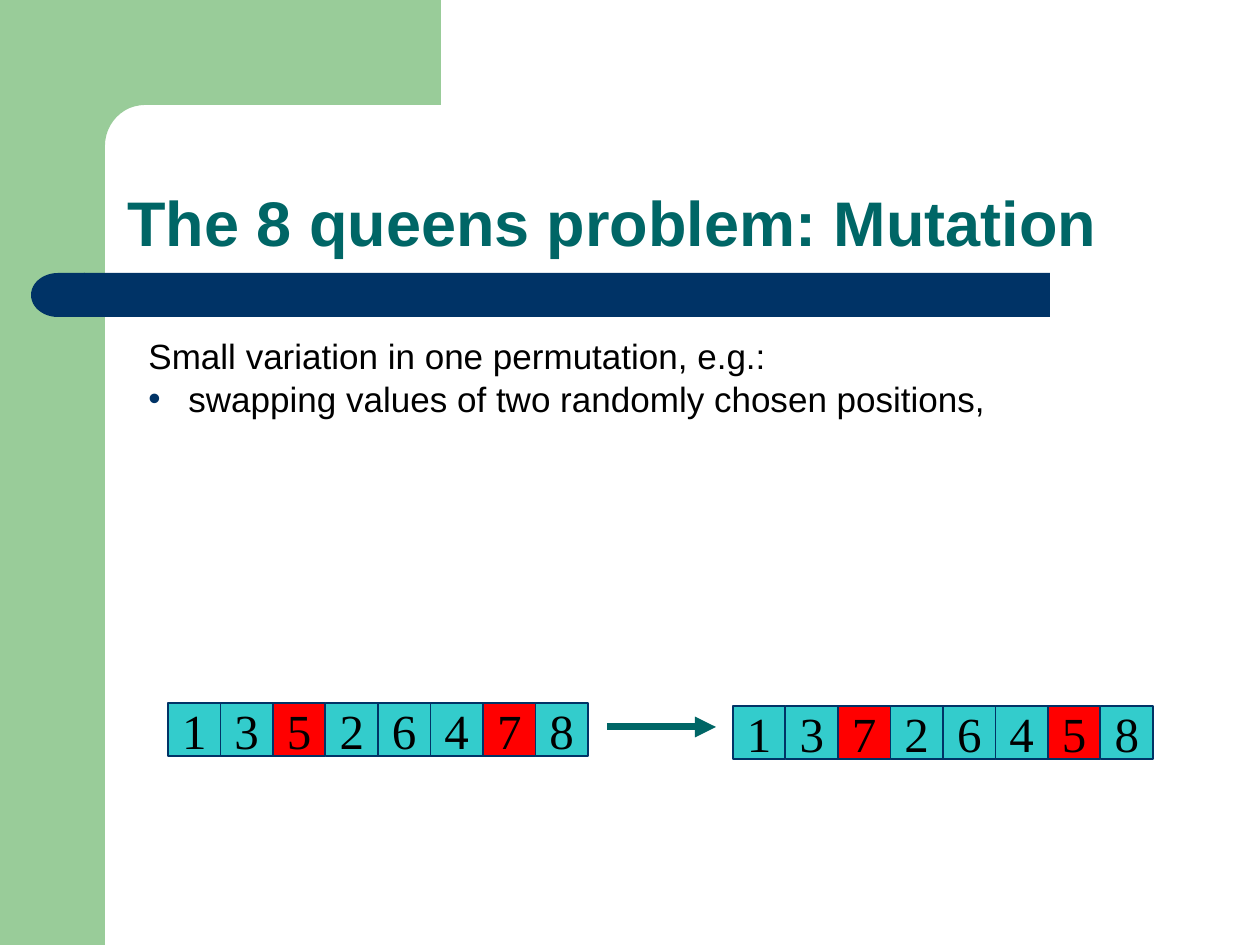
import math
from dataclasses import dataclass

from pptx import Presentation
from pptx import util as u
from pptx.dml.color import RGBColor
from pptx.enum import shapes, text
from pptx.oxml.ns import qn
from lxml import etree

EMU_PER_PX = u.Inches(1) / 126


@dataclass(frozen=True)
class Theme:
    green: str = "99CC99"
    navy: str = "003366"
    teal: str = "006666"
    cell: str = "33CCCC"
    swapped: str = "FF0000"
    ink: str = "000000"
    sans: str = "Arial"
    serif: str = "Times New Roman"
    title_size: int = 36
    body_size: int = 20
    digit_size: int = 28


@dataclass(frozen=True)
class Box:
    left: float
    top: float
    width: float
    height: float

    def emu(self) -> tuple:
        return tuple(px(v) for v in (self.left, self.top, self.width, self.height))


@dataclass(frozen=True)
class Permutation:
    digits: str
    box: Box


THEME = Theme()
SWAPPED_POSITIONS = (2, 6)
PERMUTATIONS = (
    Permutation("13526478", Box(168, 703, 420, 53)),
    Permutation("13726458", Box(733, 706, 420, 53)),
)


def px(length: float) -> u.Emu:
    return u.Emu(round(length * EMU_PER_PX))


def color(value: str) -> RGBColor:
    return RGBColor.from_string(value)


def paint(shape, fill: str, outline: str = "") -> None:
    shape.shadow.inherit = False
    shape.fill.solid()
    shape.fill.fore_color.rgb = color(fill)
    if outline:
        shape.line.color.rgb = color(outline)
        shape.line.width = u.Pt(1)
    else:
        shape.line.fill.background()


def add_block(page, kind, box: Box, fill: str, outline: str = ""):
    shape = page.shapes.add_shape(kind, *box.emu())
    paint(shape, fill, outline)
    return shape


def style(para, font_name: str, size: int, ink: str, bold: bool = False) -> None:
    para.font.name = font_name
    para.font.size = u.Pt(size)
    para.font.bold = bold
    para.font.color.rgb = color(ink)


def add_text_frame(page, box: Box):
    frame = page.shapes.add_textbox(*box.emu()).text_frame
    frame.word_wrap = True
    return frame


def add_bullet(para, indent: int) -> None:
    properties = para._p.get_or_add_pPr()
    properties.set("marL", str(px(indent)))
    properties.set("indent", str(-px(indent)))
    bullet_color = etree.SubElement(properties, qn("a:buClr"))
    etree.SubElement(bullet_color, qn("a:srgbClr"), val=THEME.navy)
    etree.SubElement(properties, qn("a:buFont"), typeface=THEME.sans)
    etree.SubElement(properties, qn("a:buChar"), char="•")


def add_corner(page) -> None:
    """Top band whose lower left inner corner is rounded."""
    arc = []
    for step in range(13):
        angle = math.pi / 2 * step / 12
        arc.append((145 - 40 * math.sin(angle), 146 - 41 * math.cos(angle)))
    outline = [(441, 0), (441, 105), *arc, (105, 161), (63, 161), (63, 0)]
    points = [(px(x), px(y)) for x, y in outline]
    builder = page.shapes.build_freeform(*points[0])
    builder.add_line_segments(points[1:], close=True)
    paint(builder.convert_to_shape(), THEME.green)


def add_permutation(page, permutation: Permutation) -> None:
    row = permutation.box
    pitch = row.width / len(permutation.digits)
    for index, digit in enumerate(permutation.digits):
        fill = THEME.swapped if index in SWAPPED_POSITIONS else THEME.cell
        box = Box(row.left + index * pitch, row.top, pitch, row.height)
        cell = add_block(page, shapes.MSO_SHAPE.RECTANGLE, box, fill, THEME.navy)
        frame = cell.text_frame
        frame.margin_left = frame.margin_right = 0
        frame.margin_top = frame.margin_bottom = 0
        frame.word_wrap = False
        frame.vertical_anchor = text.MSO_ANCHOR.MIDDLE
        para = frame.paragraphs[0]
        para.text = digit
        para.alignment = text.PP_ALIGN.CENTER
        style(para, THEME.serif, THEME.digit_size, THEME.ink)


def add_arrow(page, start: int, end: int, y: int) -> None:
    arrow = page.shapes.add_connector(
        shapes.MSO_CONNECTOR.STRAIGHT, px(start), px(y), px(end), px(y))
    arrow.line.color.rgb = color(THEME.teal)
    arrow.line.width = u.Pt(4)
    etree.SubElement(arrow.line._get_or_add_ln(), qn("a:tailEnd"), type="triangle")
    etree.SubElement(arrow._element.spPr, qn("a:effectLst"))


def main() -> None:
    deck = Presentation()
    deck.slide_width, deck.slide_height = px(1260), px(945)
    page = deck.slides.add_slide(deck.slide_layouts[6])

    # Frame and title rule
    add_block(page, shapes.MSO_SHAPE.RECTANGLE, Box(0, 0, 105, 945), THEME.green)
    add_corner(page)
    add_block(page, shapes.MSO_SHAPE.RECTANGLE, Box(84, 273, 966, 44), THEME.navy)
    cap = add_block(page, shapes.MSO_SHAPE.FLOWCHART_DELAY, Box(31, 273, 54, 44), THEME.navy)
    cap.rotation = 180

    # Title
    frame = add_text_frame(page, Box(115, 136, 1145, 129))
    frame.vertical_anchor = text.MSO_ANCHOR.BOTTOM
    title = frame.paragraphs[0]
    title.text = "The 8 queens problem: Mutation"
    style(title, THEME.sans, THEME.title_size, THEME.teal, bold=True)

    # Explanation
    frame = add_text_frame(page, Box(136, 328, 1029, 96))
    intro = frame.paragraphs[0]
    intro.text = "Small variation in one permutation, e.g.:"
    point = frame.add_paragraph()
    point.text = "swapping values of two randomly chosen positions,"
    point.space_before = u.Pt(1)
    add_bullet(point, 40)
    for para in (intro, point):
        style(para, THEME.sans, THEME.body_size, THEME.ink)

    # Permutation before and after the swap
    for permutation in PERMUTATIONS:
        add_permutation(page, permutation)
    add_arrow(page, 607, 716, 727)

    deck.save("out.pptx")


if __name__ == "__main__":
    main()
